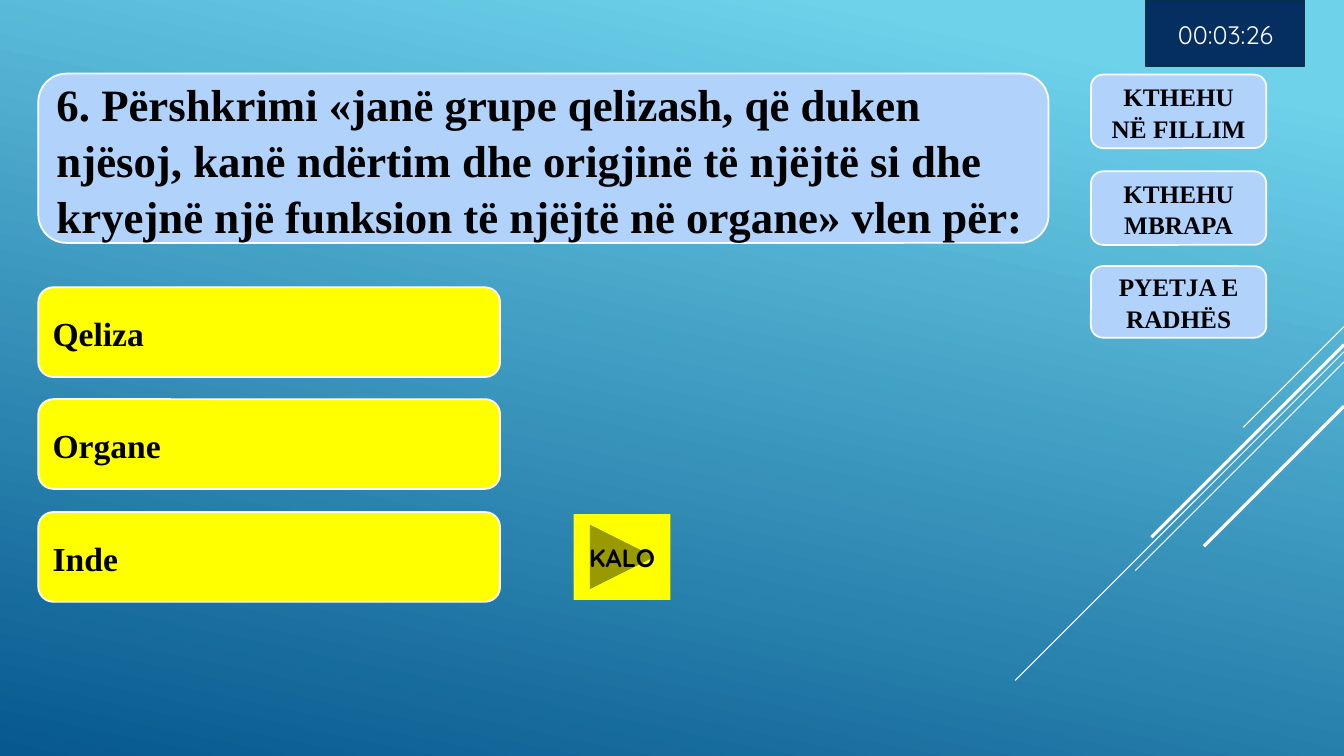
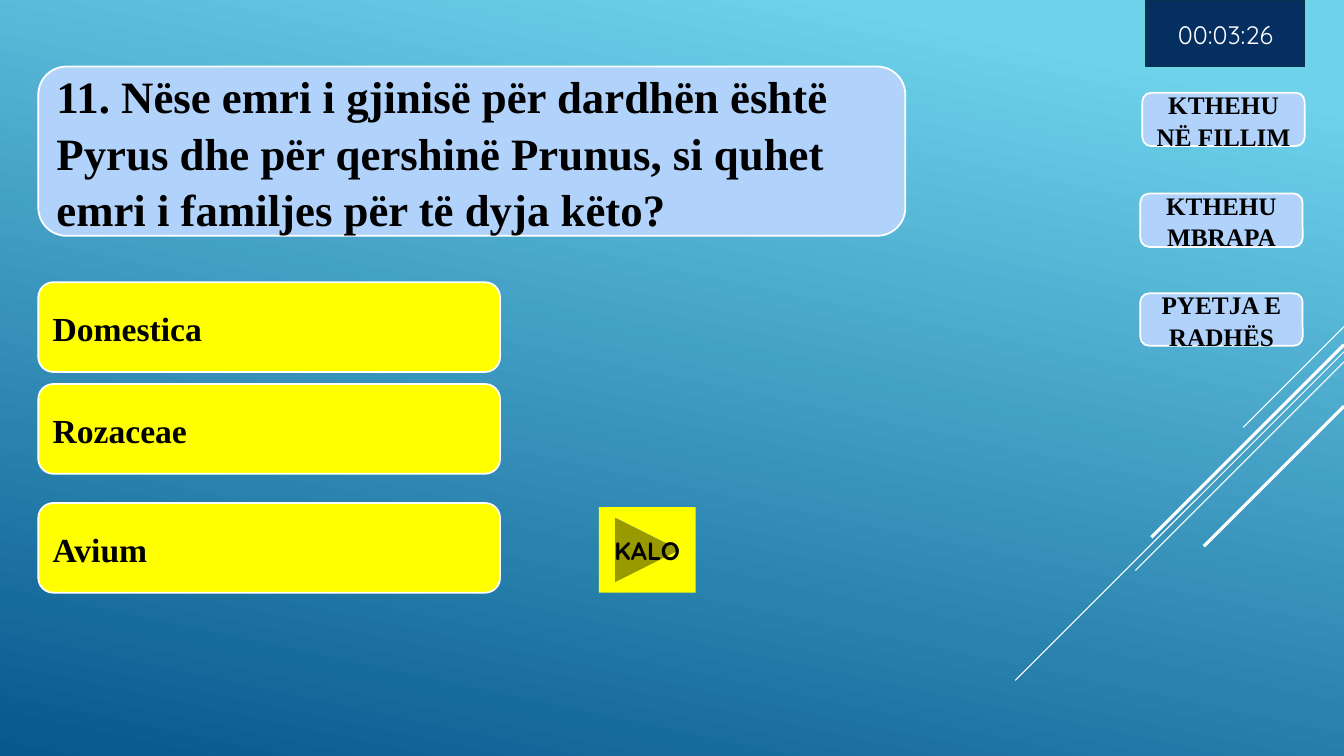
from dataclasses import dataclass

from lxml import etree
from pptx import Presentation
from pptx.dml.color import RGBColor
from pptx.enum.shapes import MSO_CONNECTOR, MSO_SHAPE
from pptx.enum.text import MSO_ANCHOR, MSO_AUTO_SIZE, PP_ALIGN
from pptx.oxml.ns import qn
from pptx.util import Inches, Pt

STRAIGHT = MSO_CONNECTOR.STRAIGHT
RECT, ROUNDED = MSO_SHAPE.RECTANGLE, MSO_SHAPE.ROUNDED_RECTANGLE
FORWARD = MSO_SHAPE.ACTION_BUTTON_FORWARD_OR_NEXT
LEFT, CENTER = PP_ALIGN.LEFT, PP_ALIGN.CENTER
MIDDLE, NO_FIT = MSO_ANCHOR.MIDDLE, MSO_AUTO_SIZE.NONE
TITLE_ONLY = 5


@dataclass(frozen=True)
class Theme:
    sky: str = "6ED2EB"
    deep: str = "06588E"
    panel: str = "B1D3FB"
    answer: str = "FFFF00"
    navy: str = "052F61"
    navy_edge: str = "043148"
    white: str = "FFFFFF"
    black: str = "000000"
    serif: str = "Times New Roman"
    sans: str = "Quicksand"
    question_size: int = 32
    answer_size: int = 24
    button_size: int = 18
    border: float = 1.25
    spacing: float = 1.05


T = Theme()


def write(sp, text, size, font=T.serif, color=T.black, bold=True, align=LEFT):
    tf = sp.text_frame
    tf.word_wrap = True
    tf.auto_size = NO_FIT
    tf.vertical_anchor = MIDDLE
    p = tf.paragraphs[0]
    p.alignment = align
    p.line_spacing = T.spacing
    r = p.add_run()
    r.text = text
    r.font.name, r.font.size, r.font.bold = font, Pt(size), bold
    r.font.color.rgb = RGBColor.from_string(color)


def add_box(s, kind, box, fill, line=T.white):
    sp = s.shapes.add_shape(kind, *[Inches(v) for v in box])
    sp.shadow.inherit = False
    sp.fill.solid()
    sp.fill.fore_color.rgb = RGBColor.from_string(fill)
    if line:
        sp.line.color.rgb = RGBColor.from_string(line)
        sp.line.width = Pt(T.border)
    else:
        sp.line.fill.background()
    return sp


# Content: positions in inches
NAV_LABELS = ["KTHEHU NË FILLIM", "KTHEHU MBRAPA", "PYETJA E RADHËS"]
QUESTIONS = [
    {
        "text": "6. Përshkrimi «janë grupe qelizash, që duken njësoj, kanë "
                "ndërtim dhe origjinë të njëjtë si dhe kryejnë një funksion "
                "të njëjtë në organe» vlen për:",
        "panel": (0.38, 0.73, 10.02, 1.68),
        "answers": [("Qeliza", 2.85), ("Organe", 3.96), ("Inde", 5.08)],
        "nav": [(10.82, 0.74, 1.74, 0.73), (10.82, 1.7, 1.74, 0.73),
                (10.82, 2.64, 1.74, 0.71)],
        "skip": (5.69, 5.1),
    },
    {
        "text": "11. Nëse emri i gjinisë për dardhën është Pyrus dhe për "
                "qershinë Prunus, si quhet emri i familjes për të dyja këto?",
        "panel": (0.38, 0.66, 8.6, 1.68),
        "answers": [("Domestica", 2.8), ("Rozaceae", 3.81), ("Avium", 4.99)],
        "nav": [(11.33, 0.92, 1.61, 0.53), (11.31, 1.92, 1.61, 0.53),
                (11.31, 2.91, 1.61, 0.52)],
        "skip": (5.94, 5.03),
    },
]
# Diagonals run down-left at 45 degrees: top at the right edge, length, width
DIAGONALS = [(3.24, 1.0, 0.75), (3.49, 3.26, 0.75), (3.59, 2.07, 0.75),
             (3.42, 1.91, 2.25), (4.03, 1.39, 2.25)]
SLIDE_W = 13.33

prs = Presentation()
prs.slide_width, prs.slide_height = Inches(SLIDE_W), Inches(7.5)

# Shared gradient background
fill = prs.slide_master.background.fill
fill.gradient()
fill.gradient_angle = 258
for stop, color, position in zip(fill.gradient_stops, (T.sky, T.deep), (0.1, 1)):
    stop.color.rgb = RGBColor.from_string(color)
    stop.position = position

layout = prs.slide_layouts[TITLE_ONLY]
for number, question in enumerate(QUESTIONS):
    s = prs.slides.add_slide(layout)

    # Diagonal lines, moved to the layout that all slides share
    if number == 0:
        for top, run, width in DIAGONALS:
            line = s.shapes.add_connector(
                STRAIGHT, Inches(SLIDE_W), Inches(top),
                Inches(SLIDE_W - run), Inches(top + run))
            line.line.color.rgb = RGBColor.from_string(T.white)
            line.line.width = Pt(width)
            etree.SubElement(line._element.spPr, qn("a:effectLst"))
            layout.shapes._spTree.append(line._element)

    # Question: rounded panel behind the title
    panel = add_box(s, ROUNDED, question["panel"], T.panel)
    title = s.shapes.title
    title._element.addprevious(panel._element)
    title.left, title.top = panel.left, panel.top
    title.width, title.height = panel.width, panel.height
    tf = title.text_frame
    tf.margin_left = tf.margin_right = Inches(0.18)
    tf.margin_top = tf.margin_bottom = 0
    write(title, question["text"], T.question_size)

    # Answers
    for text, top in question["answers"]:
        sp = add_box(s, ROUNDED, (0.38, top, 4.58, 0.89), T.answer)
        write(sp, text, T.answer_size)

    # Navigation buttons
    for text, box in zip(NAV_LABELS, question["nav"]):
        sp = add_box(s, ROUNDED, box, T.panel)
        write(sp, text, T.button_size, align=CENTER)

    # Skip button and timer
    skip = add_box(s, FORWARD, (*question["skip"], 0.96, 0.85), T.answer, None)
    write(skip, "KALO", T.button_size, T.sans, align=CENTER)
    timer = add_box(s, RECT, (11.37, 0, 1.57, 0.66), T.navy, T.navy_edge)
    write(timer, "00:03:26", T.button_size, T.sans, T.white, False, CENTER)

prs.save("out.pptx")
